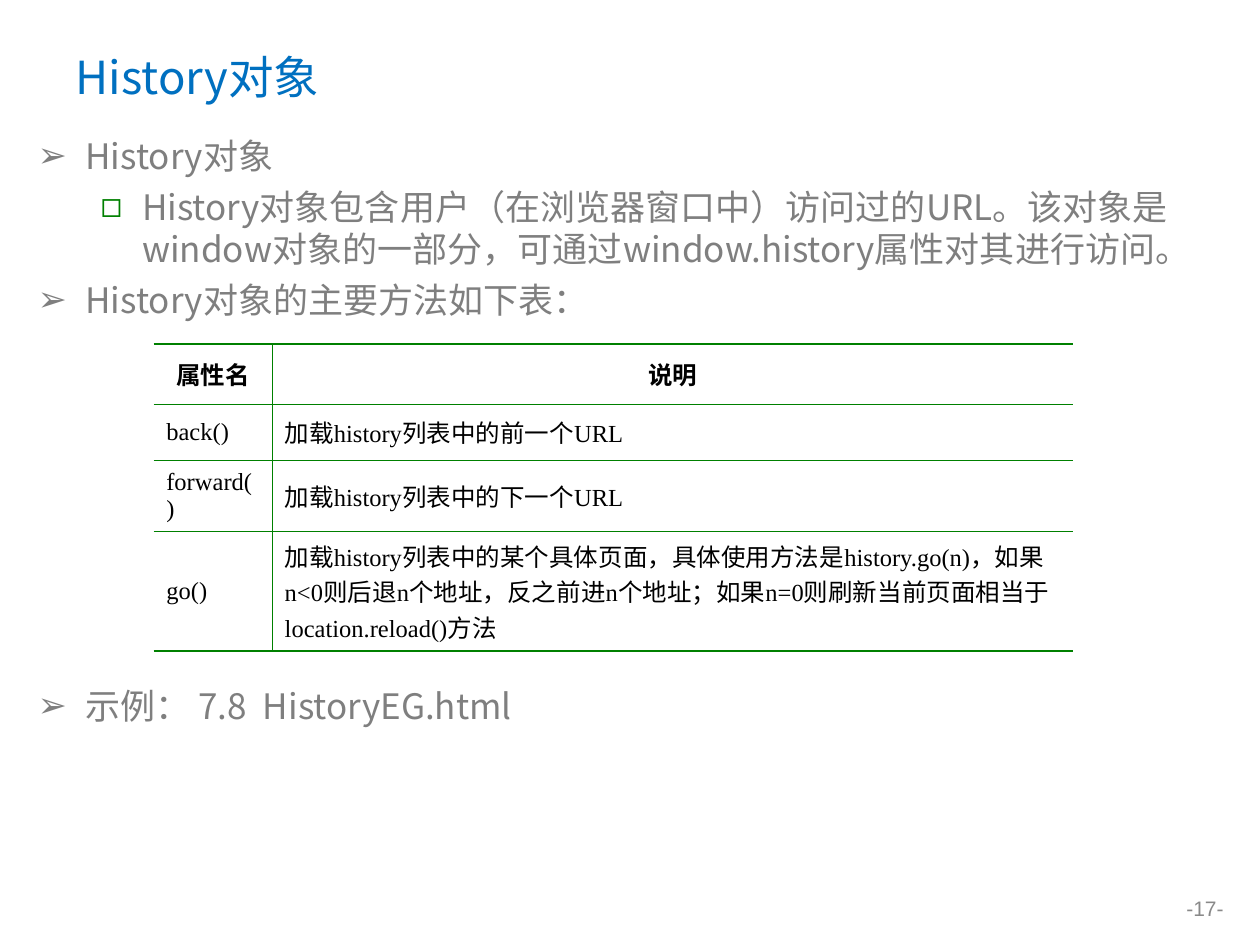
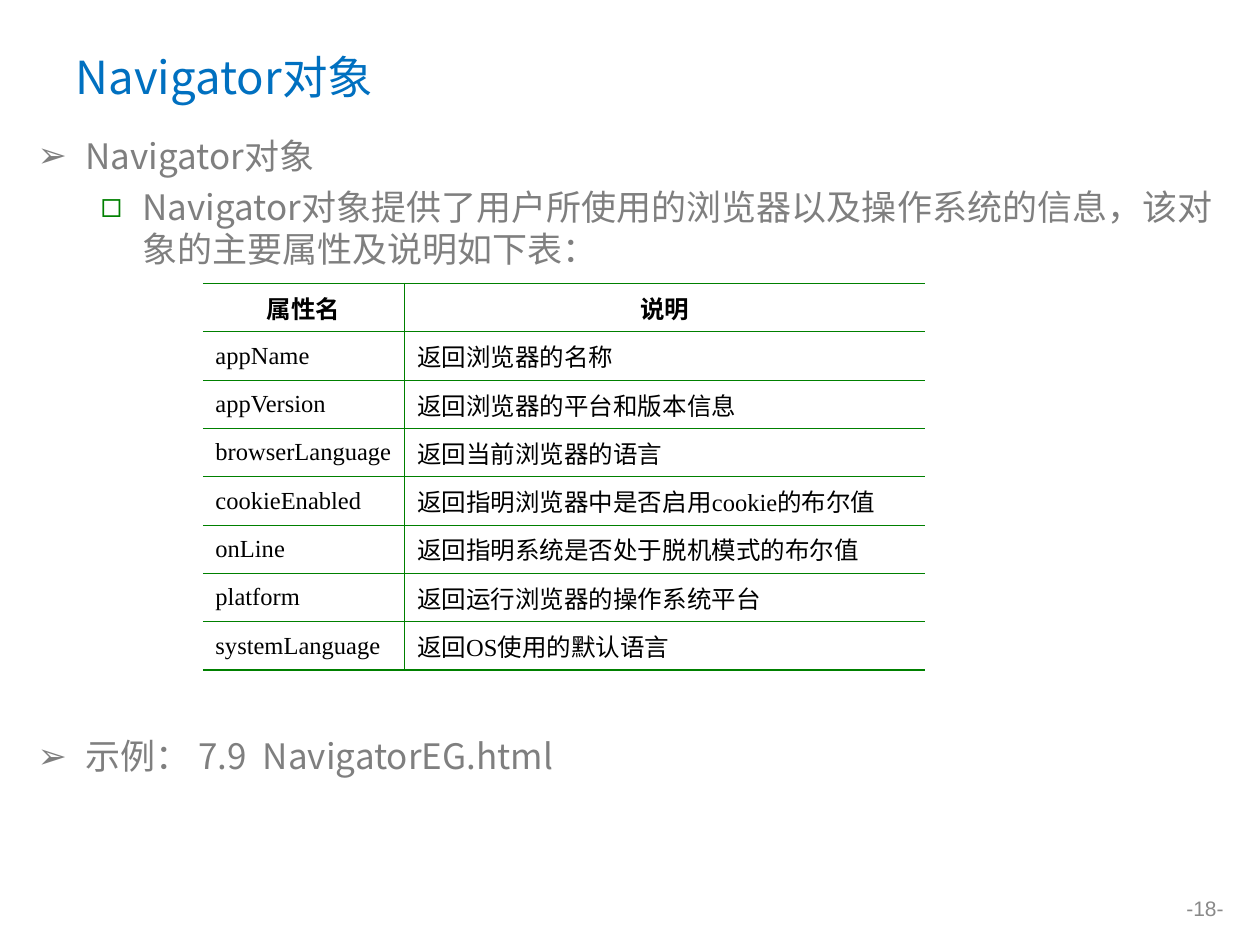
from dataclasses import dataclass
from lxml import etree
from pptx import Presentation
from pptx.dml.color import RGBColor
from pptx.enum.text import MSO_ANCHOR, PP_ALIGN
from pptx.oxml.ns import qn
from pptx.util import Inches, Pt

LEFT, CENTER, RIGHT = PP_ALIGN.LEFT, PP_ALIGN.CENTER, PP_ALIGN.RIGHT
MIDDLE = MSO_ANCHOR.MIDDLE
TITLE_ONLY = 5


@dataclass(frozen=True)
class Theme:
    blue: str = "0070C0"
    gray: str = "7F7F7F"
    green: str = "008000"
    black: str = "000000"
    footer_gray: str = "898989"
    cjk: str = "Noto Sans CJK SC"
    serif: str = "Times New Roman"
    sans: str = "Arial"
    title_size: int = 26
    body_size: int = 20
    cell_size: int = 14
    footer_size: int = 12
    line: int = 24          # body line pitch, points
    gap: int = 5            # space before a body paragraph, points
    thin: float = 0.45
    thick: float = 0.75


T = Theme()

# Content: bullets are (level, text); "reserved" counts body lines kept for the table
HEADER = ("属性名", "说明")
SLIDES = [
    {
        "title": "History对象",
        "bullets": [
            (0, "History对象"),
            (1, "History对象包含用户（在浏览器窗口中）访问过的URL。该对象是window对象的一部分，"
                "可通过window.history属性对其进行访问。"),
            (0, "History对象的主要方法如下表："),
        ],
        "example": "示例： 7.8  HistoryEG.html",
        "reserved": 7,
        "rows": [
            ("back()", "加载history列表中的前一个URL"),
            ("forward()", "加载history列表中的下一个URL"),
            ("go()", "加载history列表中的某个具体页面，具体使用方法是history.go(n)，"
                     "如果n<0则后退n个地址，反之前进n个地址；如果n=0则刷新当前页面"
                     "相当于location.reload()方法"),
        ],
        "table_at": (1.22, 2.73),
        "cols": (0.94, 6.36),
        "heights": [0.48, 0.44, 0.44, 0.95],
        "page": "-17-",
    },
    {
        "title": "Navigator对象",
        "bullets": [
            (0, "Navigator对象"),
            (1, "Navigator对象提供了用户所使用的浏览器以及操作系统的信息，"
                "该对象的主要属性及说明如下表："),
        ],
        "example": "示例： 7.9  NavigatorEG.html",
        "reserved": 9,
        "rows": [
            ("appName", "返回浏览器的名称"),
            ("appVersion", "返回浏览器的平台和版本信息"),
            ("browserLanguage", "返回当前浏览器的语言"),
            ("cookieEnabled", "返回指明浏览器中是否启用cookie的布尔值"),
            ("onLine", "返回指明系统是否处于脱机模式的布尔值"),
            ("platform", "返回运行浏览器的操作系统平台"),
            ("systemLanguage", "返回OS使用的默认语言"),
        ],
        "table_at": (1.61, 2.25),
        "cols": (1.6, 4.13),
        "heights": [3.07 / 8] * 8,
        "page": "-18-",
    },
]

# Shared places (left, top, width, height) and bullet levels (margin, hang, sign, colour)
TITLE_BOX = (0.5, 0.3, 9, 0.61)
BODY_BOX = (0.2, 1.02, 9.69, 5.96)
PAGE_BOX = (9.1, 7.06, 0.71, 0.29)
LEVELS = [(0.38, 0.38, "➢", T.gray), (0.83, 0.33, "◻", T.green)]


def format_text(p, size, color, font=T.cjk, bold=False, align=LEFT):
    p.alignment = align
    for r in p.runs:
        f = r.font
        f.size, f.bold, f.name = Pt(size), bold, font
        f.color.rgb = RGBColor.from_string(color)
        etree.SubElement(f._element, qn("a:ea"), typeface=T.cjk)


def add_color(parent, color):
    etree.SubElement(parent, qn("a:srgbClr"), val=color)


def add_bullet(p, level):
    margin, hang, sign, color = LEVELS[level]
    pPr = p._p.get_or_add_pPr()
    pPr.set("marL", str(Inches(margin)))
    pPr.set("indent", str(-Inches(hang)))
    add_color(etree.SubElement(pPr, qn("a:buClr")), color)
    etree.SubElement(pPr, qn("a:buFont"), typeface=T.sans)
    etree.SubElement(pPr, qn("a:buChar"), char=sign)


def set_borders(cell, widths):
    """widths: left, right, top, bottom in points; 0 means no line."""
    tcPr = cell._tc.get_or_add_tcPr()
    for i, (side, width) in enumerate(zip("LRTB", widths)):
        ln = etree.Element(qn(f"a:ln{side}"), w=str(Pt(width)))
        if width:
            add_color(etree.SubElement(ln, qn("a:solidFill")), T.green)
        else:
            etree.SubElement(ln, qn("a:noFill"))
        tcPr.insert(i, ln)


def add_title(s, text):
    sp = s.shapes.title
    sp.left, sp.top, sp.width, sp.height = map(Inches, TITLE_BOX)
    tf = sp.text_frame
    tf.text, tf.vertical_anchor = text, MIDDLE
    format_text(tf.paragraphs[0], T.title_size, T.blue)


def add_body(s, bullets, example, reserved):
    tf = s.shapes.add_textbox(*map(Inches, BODY_BOX)).text_frame
    tf.word_wrap = True
    table_gap = reserved * (T.line + T.gap) + T.gap
    items = [(level, text, T.gap) for level, text in bullets] + [(0, example, table_gap)]
    for i, (level, text, before) in enumerate(items):
        p = tf.add_paragraph() if i else tf.paragraphs[0]
        p.text, p.level = text, level
        add_bullet(p, level)
        p.line_spacing = Pt(T.line)
        if i:
            p.space_before = Pt(before)
        format_text(p, T.body_size, T.gray)


def add_grid(s, rows, at, cols, heights):
    rows = [HEADER] + rows
    size = (sum(cols), sum(heights))
    table = s.shapes.add_table(len(rows), len(cols), *map(Inches, at + size)).table
    table.first_row = table.horz_banding = False
    for column, width in zip(table.columns, cols):
        column.width = Inches(width)
    last_row, last_col = len(rows) - 1, len(cols) - 1
    for i, row in enumerate(rows):
        table.rows[i].height = Inches(heights[i])
        for j, text in enumerate(row):
            cell = table.cell(i, j)
            cell.text, cell.vertical_anchor = text, MIDDLE
            cell.fill.background()
            header = i == 0
            format_text(cell.text_frame.paragraphs[0], T.cell_size, T.black, T.serif,
                        header, CENTER if header else LEFT)
            set_borders(cell, (T.thin if j else 0,
                               T.thin if j < last_col else 0,
                               T.thin if i else T.thick,
                               T.thin if i < last_row else T.thick))


def add_page_number(s, text):
    tf = s.shapes.add_textbox(*map(Inches, PAGE_BOX)).text_frame
    tf.word_wrap = True
    tf.text, tf.vertical_anchor = text, MIDDLE
    format_text(tf.paragraphs[0], T.footer_size, T.footer_gray, T.sans, align=RIGHT)


def main():
    prs = Presentation()
    prs.slide_width, prs.slide_height = Inches(10), Inches(7.5)
    for d in SLIDES:
        s = prs.slides.add_slide(prs.slide_layouts[TITLE_ONLY])
        add_title(s, d["title"])
        add_body(s, d["bullets"], d["example"], d["reserved"])
        add_grid(s, d["rows"], d["table_at"], d["cols"], d["heights"])
        add_page_number(s, d["page"])
    prs.save("out.pptx")


if __name__ == "__main__":
    main()
